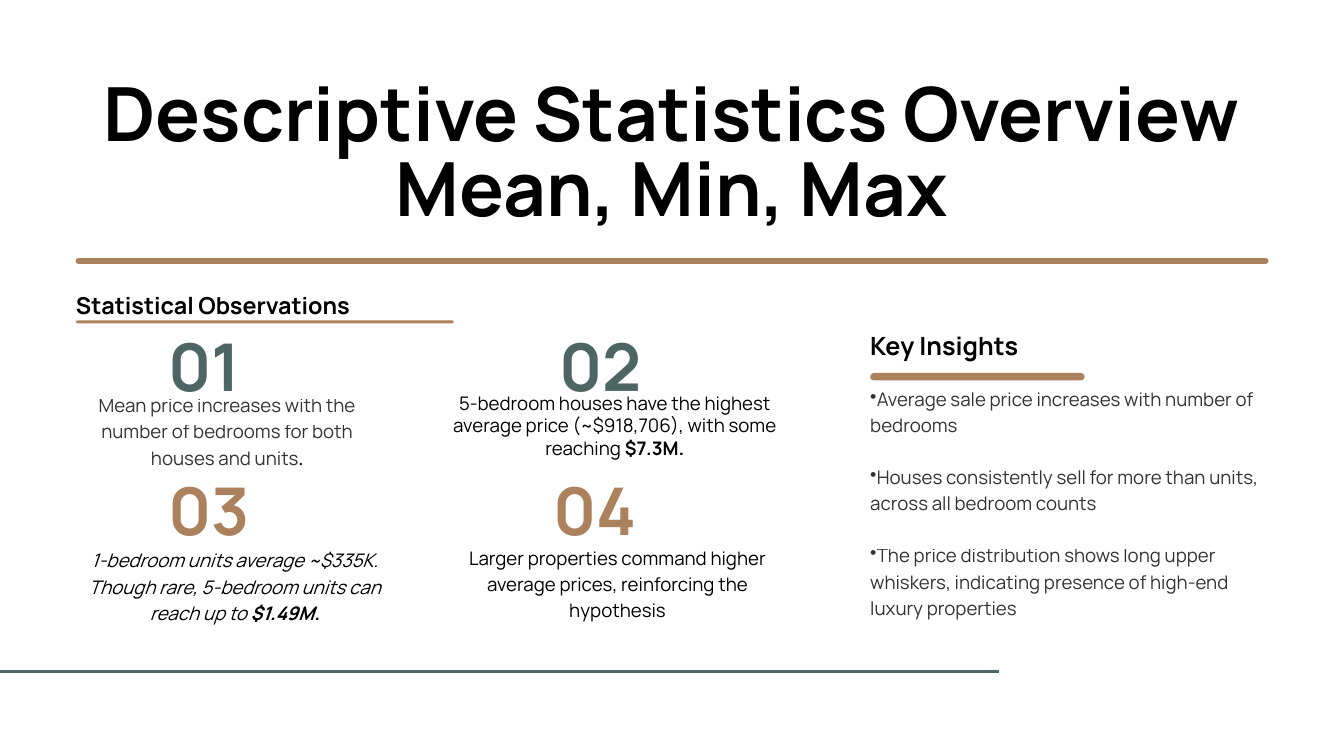
from lxml import etree
from pptx import Presentation
from pptx import util as u
from pptx.dml.color import RGBColor
from pptx.enum import shapes, text
from pptx.oxml import ns

COLORS = {"black": "000000", "green": "4D6563", "tan": "AC815E"}
FONT = "Manrope"
CENTER = text.PP_ALIGN.CENTER
LEFT = text.PP_ALIGN.LEFT


class SlideBuilder:
    def __init__(self, slide):
        self.slide = slide

    def color(self, name):
        return RGBColor.from_string(COLORS[name])

    def bar(self, left, top, width, height):
        shape = self.slide.shapes.add_shape(
            shapes.MSO_SHAPE.ROUNDED_RECTANGLE, *map(u.Pt, (left, top, width, height)))
        shape.adjustments[0] = 0.5
        shape.shadow.inherit = False
        shape.fill.solid()
        shape.fill.fore_color.rgb = self.color("tan")
        shape.line.fill.background()

    def rule(self, left, right, y):
        connector = self.slide.shapes.add_connector(
            shapes.MSO_CONNECTOR.STRAIGHT, *map(u.Pt, (left, y, right, y)))
        connector.line.color.rgb = self.color("green")
        connector.line.width = u.Pt(3)
        etree.SubElement(connector._element.spPr, ns.qn("a:effectLst"))

    def style(self, run, size, color="black", bold=False, italic=False, alpha=None, font=FONT):
        run.font.name = font
        run.font.size = u.Pt(size)
        run.font.bold = bold
        run.font.italic = italic
        run.font.color.rgb = self.color(color)
        if alpha:
            fill = run._r.rPr.find(ns.qn("a:solidFill"))
            etree.SubElement(fill[0], ns.qn("a:alpha"), val=str(alpha * 1000))

    def text_box(self, box, content, size, spacing=None, align=LEFT, ending=None,
                 ending_style=None, **style):
        frame = self.slide.shapes.add_textbox(*map(u.Pt, box)).text_frame
        frame.margin_left = frame.margin_right = frame.margin_top = frame.margin_bottom = 0
        frame.word_wrap = True
        frame.auto_size = text.MSO_AUTO_SIZE.SHAPE_TO_FIT_TEXT
        frame.text = content
        for paragraph in frame.paragraphs:
            paragraph.alignment = align
            if spacing:
                paragraph.line_spacing = u.Pt(spacing)
            self.style(paragraph.runs[0], size, **style)
        if ending:
            run = frame.paragraphs[0].add_run()
            run.text = ending
            self.style(run, size, **{**style, **ending_style})
        return frame

    def bullets(self, box, items, size, spacing, **style):
        frame = self.text_box(box, "\n".join(items), size, spacing, **style)
        for index, paragraph in enumerate(frame.paragraphs):
            if index:
                paragraph.space_before = u.Pt(spacing)
            properties = paragraph._p.get_or_add_pPr()
            properties.set("marL", "0")
            properties.set("indent", str(-u.Pt(18)))
            etree.SubElement(properties, ns.qn("a:buChar"), char="•")

    def observation(self, number, number_left, number_top, color, box, content, **style):
        self.text_box((number_left, number_top, 125, 52), number, 70.5, 64.1,
                      color=color, bold=True)
        self.text_box(box, content, 20, align=CENTER, **style)


def main():
    presentation = Presentation()
    presentation.slide_width = u.Pt(1440)
    presentation.slide_height = u.Pt(810)
    builder = SlideBuilder(presentation.slides.add_slide(presentation.slide_layouts[6]))

    builder.bar(81, 276.5, 1278, 6.2)
    builder.bar(932.4, 399.6, 229.7, 7.9)
    builder.text_box((81, 86.4, 1278, 167), "Descriptive Statistics Overview Mean, Min, Max",
                     80, 80.8, CENTER, bold=True)
    builder.bullets((932.4, 411.1, 427, 253.4), [
        "Average sale price increases with number of bedrooms",
        "Houses consistently sell for more than units, across all bedroom counts",
        "The price distribution shows long upper whiskers, indicating presence of "
        "high-end luxury properties",
    ], 20, 28, alpha=80)
    builder.text_box((932.4, 362.2, 286.6, 28), "Key Insights", 26.9, 24.5, bold=True)
    builder.rule(0, 1070.6, 719.3)

    first_row, second_row = 370, 524.2
    builder.observation(
        "01", 180.7, first_row, "green", (81.4, 418.3, 324, 83.5),
        "Mean price increases with the number of bedrooms for both houses and units",
        spacing=28, alpha=80, ending=".", ending_style={"font": "Calibri", "alpha": None})
    builder.observation(
        "02", 599, first_row, "green", (485.3, 419.8, 347, 72.7),
        "5-bedroom houses have the highest average price (~$918,706), with some reaching ",
        ending="$7.3M.", ending_style={"bold": True})
    builder.observation(
        "03", 180.7, second_row, "tan", (80.6, 584.6, 342, 83.5),
        "1-bedroom units average ~$335K. Though rare, 5-bedroom units can reach up to ",
        spacing=28, italic=True, ending="$1.49M.", ending_style={"bold": True})
    builder.observation(
        "04", 592.6, second_row, "tan", (499.7, 581.8, 324, 83.5),
        "Larger properties command higher average prices, reinforcing the hypothesis",
        spacing=28)

    builder.text_box((81.4, 319.7, 504.7, 25.2), "Statistical Observations", 25, 22.7, bold=True)
    builder.bar(81.4, 343.4, 404.6, 3)
    presentation.save("out.pptx")


if __name__ == "__main__":
    main()
